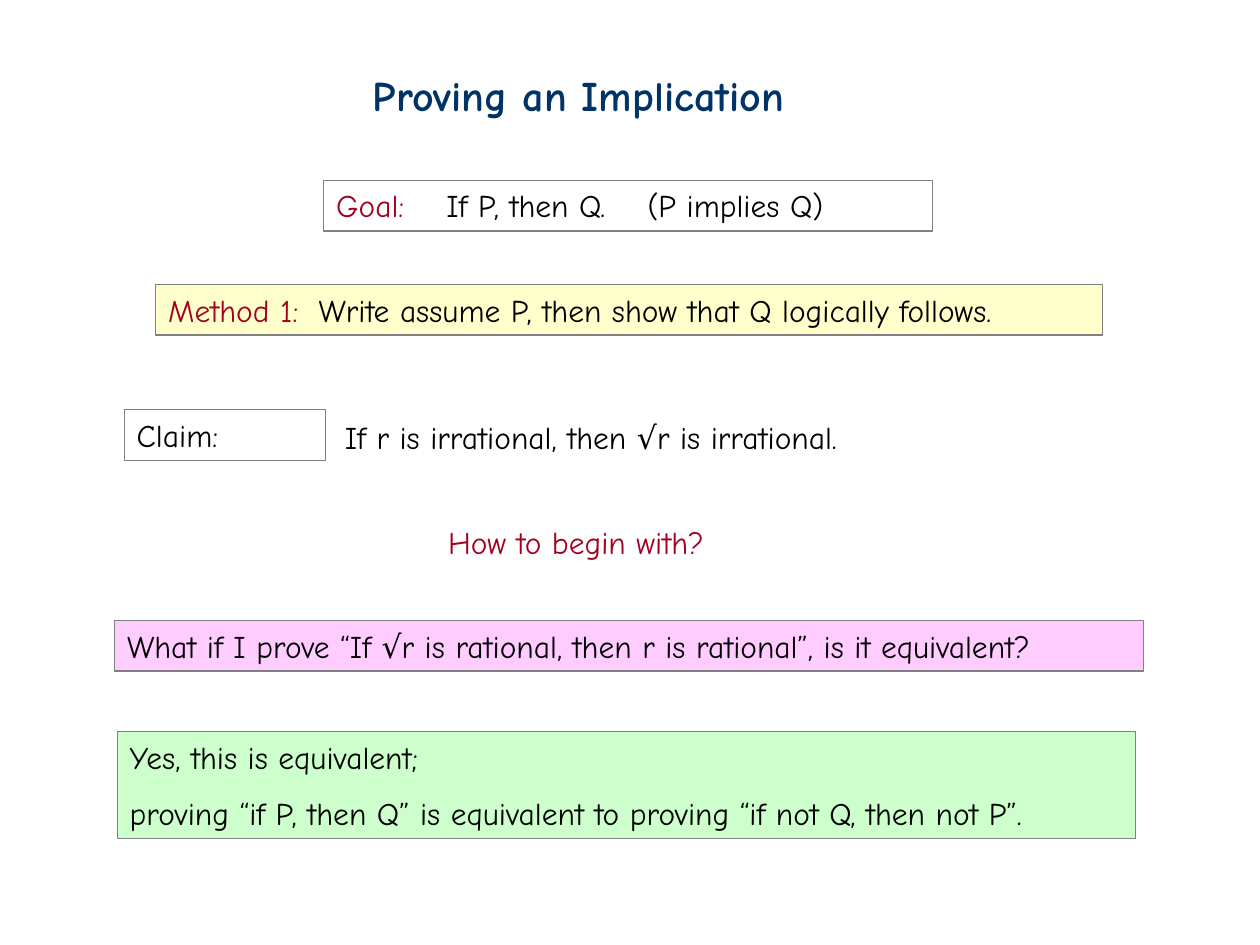
"""Build the slide on proving an implication."""
from dataclasses import dataclass

from lxml.etree import SubElement
from pptx import Presentation
from pptx.dml.color import RGBColor
from pptx.enum.shapes import MSO_SHAPE
from pptx.enum.text import MSO_ANCHOR, PP_ALIGN
from pptx.oxml.ns import qn
from pptx.util import Pt


@dataclass(frozen=True)
class Theme:
    font: str = "Comic Neue"
    head: int = 24
    body: int = 18
    navy: str = "003366"
    red: str = "A50021"
    black: str = "000000"
    gray: str = "808080"
    yellow: str = "FFFFCC"
    pink: str = "FFCCFF"
    green: str = "CCFFCC"


theme = Theme()
deck = Presentation()
deck.slide_width, deck.slide_height = Pt(720), Pt(540)
slide = deck.slides.add_slide(deck.slide_layouts[6])


def write(text, box, lead="", size=theme.body, color=theme.black, bold=False,
          frame=False, fill=None, tabs=()):
    spot = [Pt(n) for n in box]
    if frame:
        shape = slide.shapes.add_shape(MSO_SHAPE.RECTANGLE, *spot)
        shape.shadow.inherit = False
        shape.line.color.rgb = RGBColor.from_string(theme.gray)
        shape.line.width = Pt(0.75)
        if fill:
            shape.fill.solid()
            shape.fill.fore_color.rgb = RGBColor.from_string(fill)
        else:
            shape.fill.background()
    else:
        shape = slide.shapes.add_textbox(*spot)
    body = shape.text_frame
    body.word_wrap = True
    body.vertical_anchor = MSO_ANCHOR.TOP
    for row, line in enumerate(text.split("\n")):
        para = body.add_paragraph() if row else body.paragraphs[0]
        para.alignment = PP_ALIGN.LEFT
        if row:
            para.line_spacing = 1.5
        if tabs:
            stops = SubElement(para._p.get_or_add_pPr(), qn("a:tabLst"))
            for stop in tabs:
                SubElement(stops, qn("a:tab"), pos=str(Pt(stop)), algn="l")
        for part, tint in ((lead, theme.red), (line, color)):
            if part:
                run = para.add_run()
                run.text = part
                run.font.name = theme.font
                run.font.size = Pt(size)
                run.font.bold = bold
                run.font.color.rgb = RGBColor.from_string(tint)


write("Proving an Implication", (206, 36, 304, 36),
      size=theme.head, color=theme.navy, bold=True)
write("\tIf P, then Q.\t(P implies Q)", (185, 103, 348, 29),
      lead="Goal:", frame=True, tabs=(63, 178))
write("\tWrite assume P, then show that Q logically follows.",
      (89, 162.5, 541, 29), lead="Method 1:", frame=True,
      fill=theme.yellow, tabs=(86,))
write("Claim:", (71, 234, 115, 29), frame=True)
write("If r is irrational, then √r is irrational.", (190, 235.5, 351, 29))
write("How to begin with?", (249, 295.5, 215, 29), color=theme.red)
write("What if I prove “If √r is rational, then r is rational”, is it equivalent?",
      (65.5, 354.5, 588, 29), frame=True, fill=theme.pink)
write("Yes, this is equivalent;\n"
      "proving “if P, then Q” is equivalent to proving “if not Q, then not P”.",
      (67, 418, 582, 61), frame=True, fill=theme.green)

deck.save("out.pptx")
